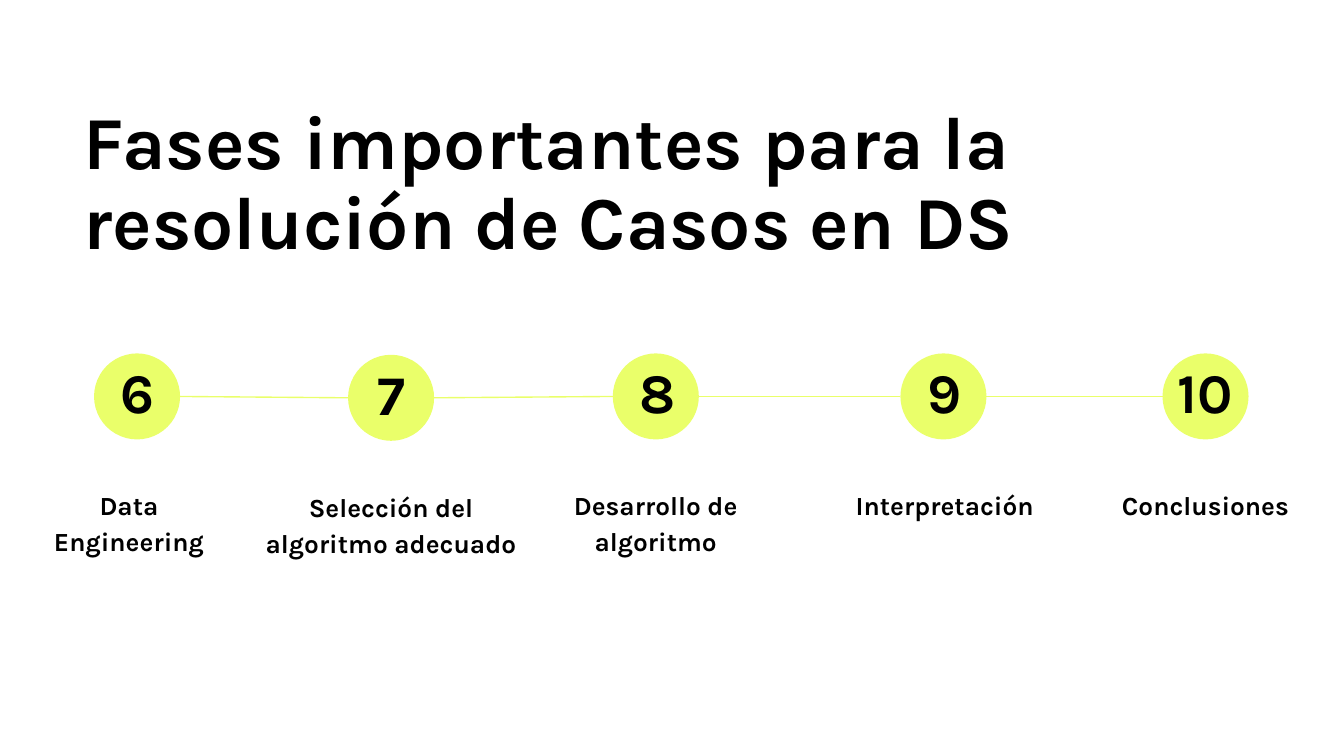
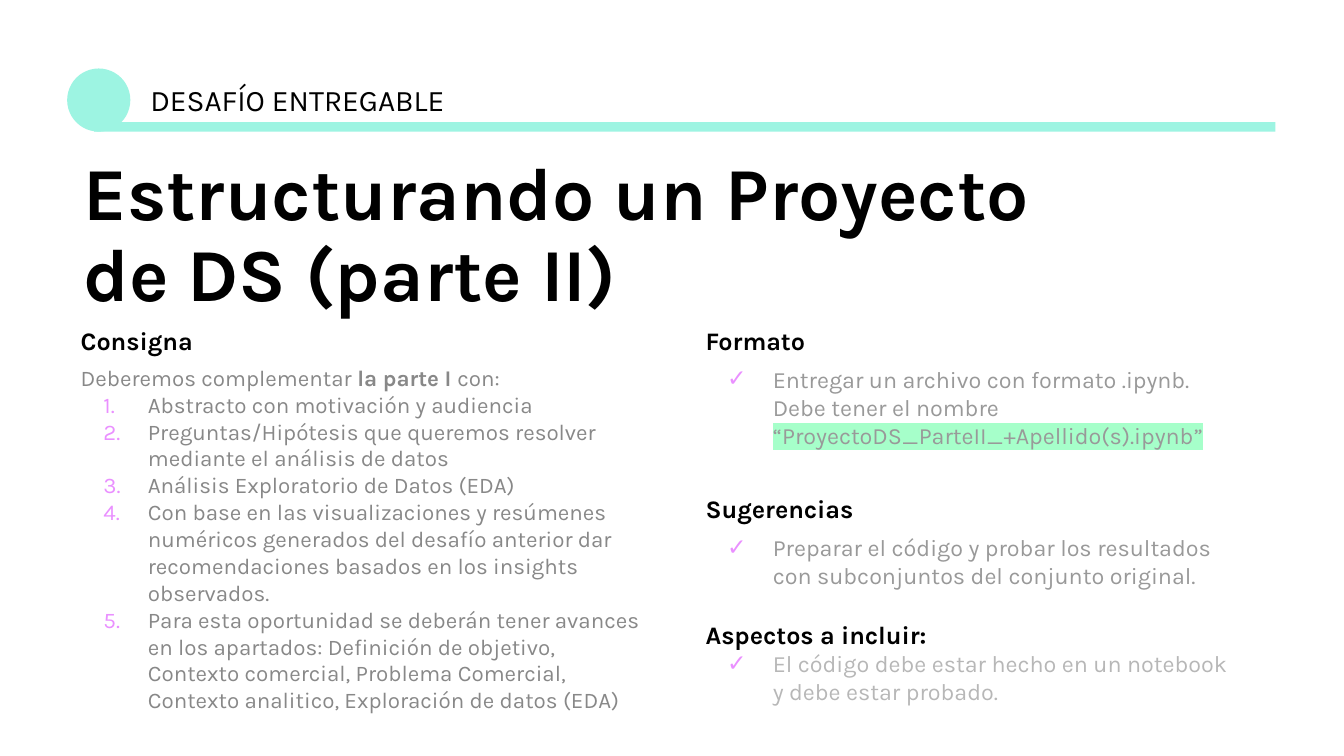
"""Build two slides on the phases and the deliverable of a data science project."""
from itertools import pairwise

from lxml import etree
from pptx import Presentation
from pptx.dml.color import RGBColor as RGB
from pptx.enum.shapes import MSO_CONNECTOR as CONN, MSO_SHAPE as SHAPE
from pptx.enum.text import MSO_ANCHOR as ANCHOR, MSO_AUTO_SIZE as AUTO, PP_ALIGN as ALIGN
from pptx.oxml.ns import qn
from pptx.util import Emu, Pt

PX = 9144
FONT = "Karla"
BLACK = RGB(0x00, 0x00, 0x00)
GREY = RGB(0x88, 0x88, 0x88)
MID_GREY = RGB(0x99, 0x99, 0x99)
LIGHT_GREY = RGB(0xB7, 0xB7, 0xB7)
LIME = RGB(0xEA, 0xFF, 0x6A)
AQUA = RGB(0x9D, 0xF4, 0xE2)
PINK = RGB(0xEA, 0x90, 0xFF)
MINT = RGB(0xA6, 0xFF, 0xCA)

TITLE = {"size": Pt(40), "bold": True, "color": BLACK}
NUMBER = {"size": Pt(30), "bold": True, "color": BLACK}
LABEL = {"size": Pt(14), "bold": True, "color": BLACK}
BANNER = {"size": Pt(16), "bold": False, "color": BLACK}
HEADING = {"size": Pt(13.5), "bold": True, "color": BLACK}
TASK = {"size": Pt(12), "bold": False, "color": GREY}
CHECK = {"size": Pt(12.5), "bold": False, "color": MID_GREY}

TIGHT = {"line_spacing": 0.9, "alignment": ALIGN.LEFT}
CENTRED = {"line_spacing": 0.9, "alignment": ALIGN.CENTER}
LOOSE = {"line_spacing": 1.15, "alignment": ALIGN.CENTER}
NUMBERED = {"bullet": ("buAutoNum", "type", "arabicPeriod"), "hang": 33}
CHECKED = {"bullet": ("buChar", "char", "✓"), "hang": 34}


def write(sp, box, paras):
    """Place a text shape and fill it with (format, runs) paragraphs."""
    for name, value in zip(("left", "top", "width", "height"), box):
        setattr(sp, name, Emu(value * PX))
    tf = sp.text_frame
    frame = {"word_wrap": True, "auto_size": AUTO.SHAPE_TO_FIT_TEXT, "vertical_anchor": ANCHOR.TOP}
    frame |= {f"margin_{side}": Emu(10 * PX) for side in ("left", "right", "top", "bottom")}
    for name, value in frame.items():
        setattr(tf, name, value)
    for i, (layout, runs) in enumerate(paras):
        p = tf.add_paragraph() if i else tf.paragraphs[0]
        layout = {"space_before": Pt(0)} | layout
        bullet, hang = layout.pop("bullet", None), layout.pop("hang", 0)
        pPr = p._p.get_or_add_pPr()
        pPr.set("marL", str(50 * PX if bullet else 0))
        pPr.set("indent", str(-hang * PX))
        if bullet:
            tag, key, value = bullet
            clr = etree.SubElement(pPr, qn("a:buClr"))
            etree.SubElement(clr, qn("a:srgbClr")).set("val", str(PINK))
            etree.SubElement(pPr, qn("a:" + tag)).set(key, value)
        else:
            etree.SubElement(pPr, qn("a:buNone"))
        for name, value in layout.items():
            setattr(p, name, value)
        for text, style in runs:
            r = p.add_run()
            r.text = text
            r.font.name = FONT
            r.font.size, r.font.bold = style["size"], style["bold"]
            r.font.color.rgb = style["color"]
            if "highlight" in style:
                hl = etree.Element(qn("a:highlight"))
                etree.SubElement(hl, qn("a:srgbClr")).set("val", str(style["highlight"]))
                r._r.rPr.find(qn("a:solidFill")).addnext(hl)


def draw(s, kind, box, color):
    """Add a plain filled shape without outline or shadow."""
    sp = s.shapes.add_shape(kind, *(Emu(v * PX) for v in box))
    sp.shadow.inherit = False
    sp.fill.solid()
    sp.fill.fore_color.rgb = color
    sp.line.fill.background()


prs = Presentation()
prs.slide_width = Emu(1000 * PX)
prs.slide_height = Emu(prs.slide_width * 9 // 16)

s = prs.slides.add_slide(prs.slide_layouts[5])
write(s.shapes.title, (52, 68, 890, 141),
      [(TIGHT, [("Fases importantes para la resolución de Casos en DS", TITLE)])])

phases = [
    ("6", ["Data", "Engineering"], 70, 263, -11),
    ("7", ["Selección del", "algoritmo adecuado"], 259, 264, 184),
    ("8", ["Desarrollo de", "algoritmo"], 456, 263, 381),
    ("9", ["Interpretación"], 670, 263, 596),
    ("10", ["Conclusiones"], 865, 263, 790),
]
DOT = 64
for (_, _, x1, y1, _), (_, _, x2, y2, _) in pairwise(phases):
    ends = (x1 + DOT, y1 + DOT // 2, x2, y2 + DOT // 2)
    line = s.shapes.add_connector(CONN.STRAIGHT, *(Emu(v * PX) for v in ends))
    line.line.color.rgb = LIME
    line.line.width = Pt(0.75)
    etree.SubElement(line._element.spPr, qn("a:effectLst"))
for number, label, x, y, label_x in phases:
    draw(s, SHAPE.OVAL, (x, y, DOT, DOT), LIME)
    width = 45 if len(number) == 1 else DOT
    write(s.shapes.add_textbox(0, 0, 0, 0), (x + (DOT - width + 1) // 2, y - 1, width, 66),
          [(CENTRED, [(number, NUMBER)])])
    write(s.shapes.add_textbox(0, 0, 0, 0), (label_x, y + 88, 214, 17 + 27 * len(label)),
          [(LOOSE, [(text, LABEL)]) for text in label])

s = prs.slides.add_slide(prs.slide_layouts[3])
title, left, right = s.placeholders
draw(s, SHAPE.OVAL, (50, 51, 47, 47), AQUA)
draw(s, SHAPE.RECTANGLE, (70, 91, 879, 7), AQUA)
write(s.shapes.add_textbox(0, 0, 0, 0), (102, 51, 269, 47), [({}, [("DESAFÍO ENTREGABLE", BANNER)])])
write(title, (52, 106, 799, 141), [(TIGHT, [("Estructurando un Proyecto de DS (parte II)", TITLE)])])

tasks = [
    "Abstracto con motivación y audiencia",
    "Preguntas/Hipótesis que queremos resolver mediante el análisis de datos",
    "Análisis Exploratorio de Datos (EDA)",
    "Con base en las visualizaciones y resúmenes numéricos generados del desafío anterior "
    "dar recomendaciones basados en los insights observados.",
    "Para esta oportunidad se deberán tener avances en los apartados: Definición de objetivo, "
    "Contexto comercial, Problema Comercial, Contexto analitico, Exploración de datos (EDA)",
]
intro = [("Deberemos complementar ", TASK), ("la parte I ", TASK | {"bold": True}), ("con:", TASK)]
write(left, (50, 232, 445, 333),
      [({}, [("Consigna", HEADING)]), ({"space_before": Pt(4.5)}, intro)]
      + [(NUMBERED, [(task, TASK)]) for task in tasks])

sections = [
    ("Formato", 0, 5, [
        ("Entregar un archivo con formato .ipynb. Debe tener el nombre ", CHECK),
        ("“ProyectoDS_ParteII_+Apellido(s).ipynb”", CHECK | {"highlight": MINT})]),
    ("Sugerencias", 24, 5, [
        ("Preparar el código y probar los resultados con subconjuntos del conjunto original.", CHECK)]),
    ("Aspectos a incluir:", 16, 0, [
        ("El código debe estar hecho en un notebook y debe estar probado.", CHECK | {"color": LIGHT_GREY})]),
]
paras = []
for heading, before, gap, runs in sections:
    paras.append(({"space_before": Pt(before)}, [(heading, HEADING)]))
    paras.append((CHECKED | {"space_before": Pt(gap)}, runs))
write(right, (515, 232, 419, 330), paras)

prs.save("out.pptx")
